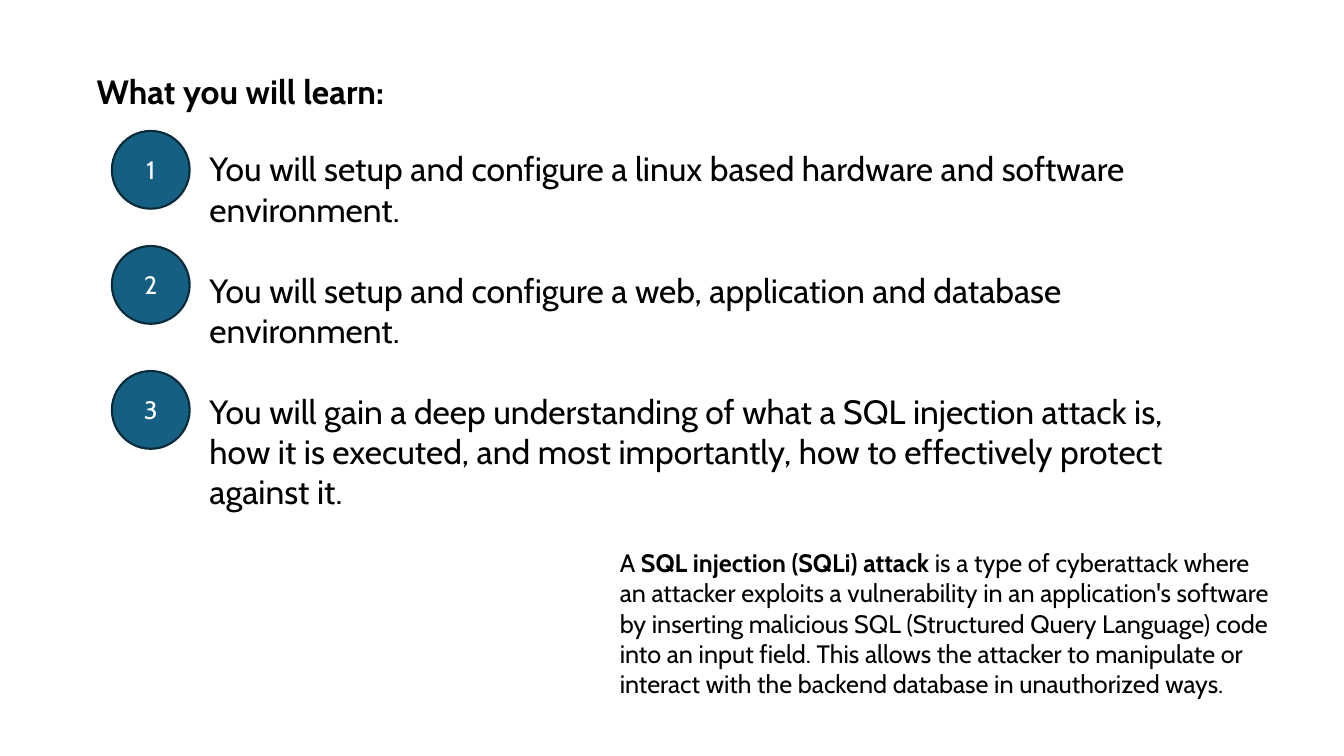
from dataclasses import dataclass

from pptx import Presentation
from pptx.dml.color import RGBColor as Rgb
from pptx.enum.shapes import MSO_SHAPE as Geom
from pptx.enum.text import MSO_ANCHOR as Anchor, MSO_AUTO_SIZE as Fit, PP_ALIGN as Align
from pptx.util import Cm, Pt

FONT = "Cabin"
HUES = {"text": "000000", "disc": "156082", "edge": "092A39", "digit": "FFFFFF"}


@dataclass
class Box:
    left: float
    top: float
    width: float
    height: float

    def sides(self) -> tuple:
        return Cm(self.left), Cm(self.top), Cm(self.width), Cm(self.height)


@dataclass
class Goal:
    top: float
    text: str


GOALS = [
    Goal(3.3, "You will setup and configure a linux based hardware and software environment."),
    Goal(6.2, "You will setup and configure a web, application and database environment."),
    Goal(9.35, "You will gain a deep understanding of what a SQL injection attack is, how it is "
               "executed, and most importantly, how to effectively protect against it."),
]
NOTE = [
    ("A ", False),
    ("SQL injection (SQLi) attack", True),
    (" is a type of cyberattack where an attacker exploits a vulnerability in an application's "
     "software by inserting malicious SQL (Structured Query Language) code into an input field. "
     "This allows the attacker to manipulate or interact with the backend database in "
     "unauthorized ways.", False),
]


def add_run(para, text: str, size: int, hue: str = "text", bold: bool = False) -> None:
    run = para.add_run()
    run.text = text
    run.font.name = FONT
    run.font.size = Pt(size)
    run.font.bold = bold
    run.font.color.rgb = Rgb.from_string(HUES[hue])


def add_text(slide, box: Box):
    frame = slide.shapes.add_textbox(*box.sides()).text_frame
    frame.word_wrap = True
    return frame


def add_disc(slide, label: str, top: float) -> None:
    disc = slide.shapes.add_shape(Geom.OVAL, *Box(2.82, top, 1.96, 1.96).sides())
    disc.shadow.inherit = False
    disc.fill.solid()
    disc.fill.fore_color.rgb = Rgb.from_string(HUES["disc"])
    disc.line.color.rgb = Rgb.from_string(HUES["edge"])
    disc.line.width = Pt(1.5)
    disc.text_frame.vertical_anchor = Anchor.MIDDLE
    para = disc.text_frame.paragraphs[0]
    para.alignment = Align.CENTER
    add_run(para, label, 18, "digit")


def main() -> None:
    deck = Presentation()
    deck.slide_width, deck.slide_height = Cm(33.87), Cm(19.05)
    slide = deck.slides.add_slide(deck.slide_layouts[5])

    # Title
    title = slide.shapes.title
    title.left, title.top, title.width, title.height = Box(2.18, 1.65, 8.28, 2.31).sides()
    frame = title.text_frame
    frame.auto_size = Fit.NONE
    frame.word_wrap = True
    frame.vertical_anchor = Anchor.TOP
    frame.paragraphs[0].alignment = Align.LEFT
    add_run(frame.paragraphs[0], "What you will learn:", 24, bold=True)

    # Goals, with a number disc beside each
    frame = add_text(slide, Box(4.24, 3.61, 25.37, 10.52))
    frame.margin_left = Cm(1.04)
    for num, goal in enumerate(GOALS, 1):
        para = frame.paragraphs[0] if num == 1 else frame.add_paragraph()
        if num > 1:
            para.space_before = Pt(29)
        add_run(para, goal.text, 24)
        add_disc(slide, str(num), goal.top)

    # Definition
    para = add_text(slide, Box(15.37, 13.67, 16.94, 4.88)).paragraphs[0]
    for text, bold in NOTE:
        add_run(para, text, 18, bold=bold)

    deck.save("out.pptx")


if __name__ == "__main__":
    main()
